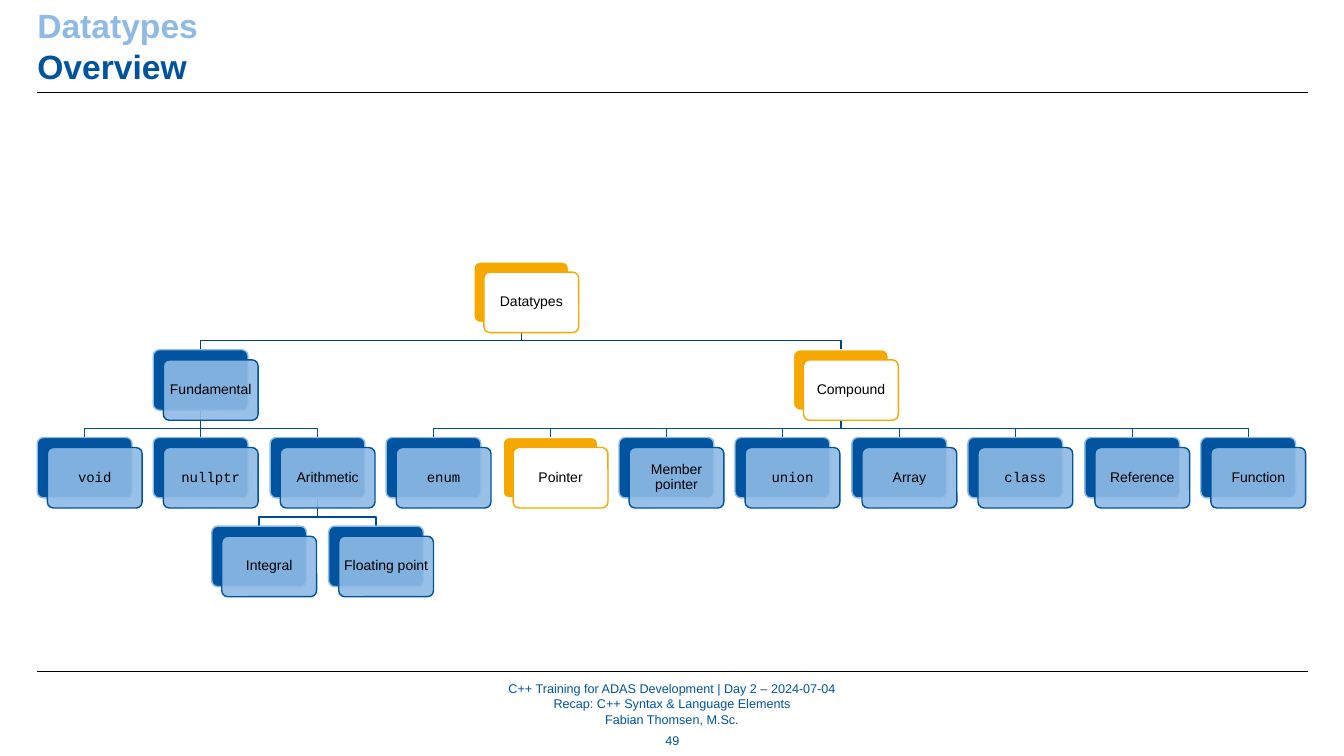
from pptx import Presentation
from pptx import util as u
from pptx.dml import color
from pptx.enum import shapes, text
from pptx.oxml import ns, xmlchemy as xc

PX = 9144
BLUE, PALE, GOLD, WHITE, BLACK = "00549F", "8EBAE5", "F6A800", "FFFFFF", "000000"
hue = color.RGBColor.from_string
MID, BASE = text.MSO_ANCHOR.MIDDLE, text.MSO_ANCHOR.BOTTOM
LEFT, MIDDLE = text.PP_ALIGN.LEFT, text.PP_ALIGN.CENTER

deck = Presentation()
deck.slide_width, deck.slide_height = 1333 * PX, 750 * PX
slide = deck.slides.add_slide(deck.slide_layouts[6])
draw = slide.shapes


def write(shape, lines, size, face="Arial", align=MIDDLE, anchor=MID, pad=0, lead=1.0, after=0):
    frame = shape.text_frame
    frame.word_wrap = True
    frame.vertical_anchor = anchor
    frame.margin_left = frame.margin_right = pad * PX
    frame.margin_top = frame.margin_bottom = pad * PX
    for i, (words, ink) in enumerate(lines):
        para = frame.add_paragraph() if i else frame.paragraphs[0]
        para.text = words
        para.alignment = align
        para.line_spacing = lead
        para.space_after = u.Pt(after)
        para.font.size = u.Pt(size)
        para.font.name = face
        para.font.color.rgb = hue(ink)
        para.font.bold = size > 20


def rule(x1, y1, x2, y2, ink, width):
    line = draw.add_connector(shapes.MSO_CONNECTOR.STRAIGHT, x1 * PX, y1 * PX, x2 * PX, y2 * PX)
    line.line.color.rgb = hue(ink)
    line.line.width = u.Pt(width)
    line._element.spPr.append(xc.OxmlElement("a:effectLst"))


for y in (92, 666):
    rule(37, y, 1297, y, BLACK, 0.5)

title = draw.add_textbox(37 * PX, 5 * PX, 1260 * PX, 81 * PX)
write(title, [("Datatypes", PALE), ("Overview", BLUE)], 24, align=LEFT, anchor=BASE, lead=1.03)

footer = draw.add_textbox(343 * PX, 675 * PX, 647 * PX, 46 * PX)
notes = [
    "C++ Training for ADAS Development | Day 2 – 2024-07-04",
    "Recap: C++ Syntax & Language Elements",
    "Fabian Thomsen, M.Sc.",
]
write(footer, [(note, BLUE) for note in notes], 9, lead=1.05)

page = draw.add_textbox(641 * PX, 722 * PX, 52 * PX, 26 * PX)
write(page, [("49", BLUE)], 9)

nodes = [
    ("Datatypes", 3.75, 0, None),
    ("Fundamental", 1, 1, "Datatypes"),
    ("Compound", 6.5, 1, "Datatypes"),
]
leaves = ["void", "nullptr", "Arithmetic", "enum", "Pointer", "Member pointer",
          "union", "Array", "class", "Reference", "Function"]
for i, name in enumerate(leaves):
    nodes.append((name, i, 2, "Fundamental" if i < 3 else "Compound"))
nodes += [("Integral", 1.5, 3, "Arithmetic"), ("Floating point", 2.5, 3, "Arithmetic")]
code = {"void", "nullptr", "enum", "union", "class"}
hot = {"Datatypes", "Compound", "Pointer"}

WIDE, HIGH, STEP = 94, 60, 10
spots = {name: (round(37 + 115.4 * col), round(260 + 87.2 * row)) for name, col, row, _ in nodes}

for name, col, row, parent in nodes:
    if not parent:
        continue
    (x1, y1), (x2, y2) = spots[parent], spots[name]
    x1, x2 = x1 + WIDE // 2, x2 + WIDE // 2
    ink = "00437F" if row == 1 else "004C90"
    if x1 == x2:
        rule(x1, y1 + HIGH, x2, y2, ink, 1)
        continue
    bend = y2 - 9
    path = draw.build_freeform(x1, y1 + HIGH, scale=PX)
    path.add_line_segments([(x1, bend), (x2, bend), (x2, y2)], close=False)
    link = path.convert_to_shape()
    link.shadow.inherit = False
    link.fill.background()
    link.line.color.rgb = hue(ink)
    link.line.width = u.Pt(1)

for name, (x, y) in spots.items():
    dark, light = (GOLD, WHITE) if name in hot else (BLUE, PALE)
    for shift, fill, edge in ((0, dark, light), (STEP, light, dark)):
        card = draw.add_shape(shapes.MSO_SHAPE.ROUNDED_RECTANGLE,
                              (x + shift) * PX, (y + shift) * PX, WIDE * PX, HIGH * PX)
        card.adjustments[0] = 0.1
        card.shadow.inherit = False
        card.fill.solid()
        card.fill.fore_color.rgb = hue(fill)
        card.line.color.rgb = hue(edge)
        card.line.width = u.Pt(1)
    if name not in hot:
        alpha = xc.OxmlElement("a:alpha")
        alpha.set("val", "90000")
        card._element.spPr.find(ns.qn("a:solidFill"))[0].append(alpha)
    face = "Courier New" if name in code else "Arial"
    write(card, [(name, BLACK)], 10, face, pad=2, lead=0.9, after=3.5)

deck.save("out.pptx")
